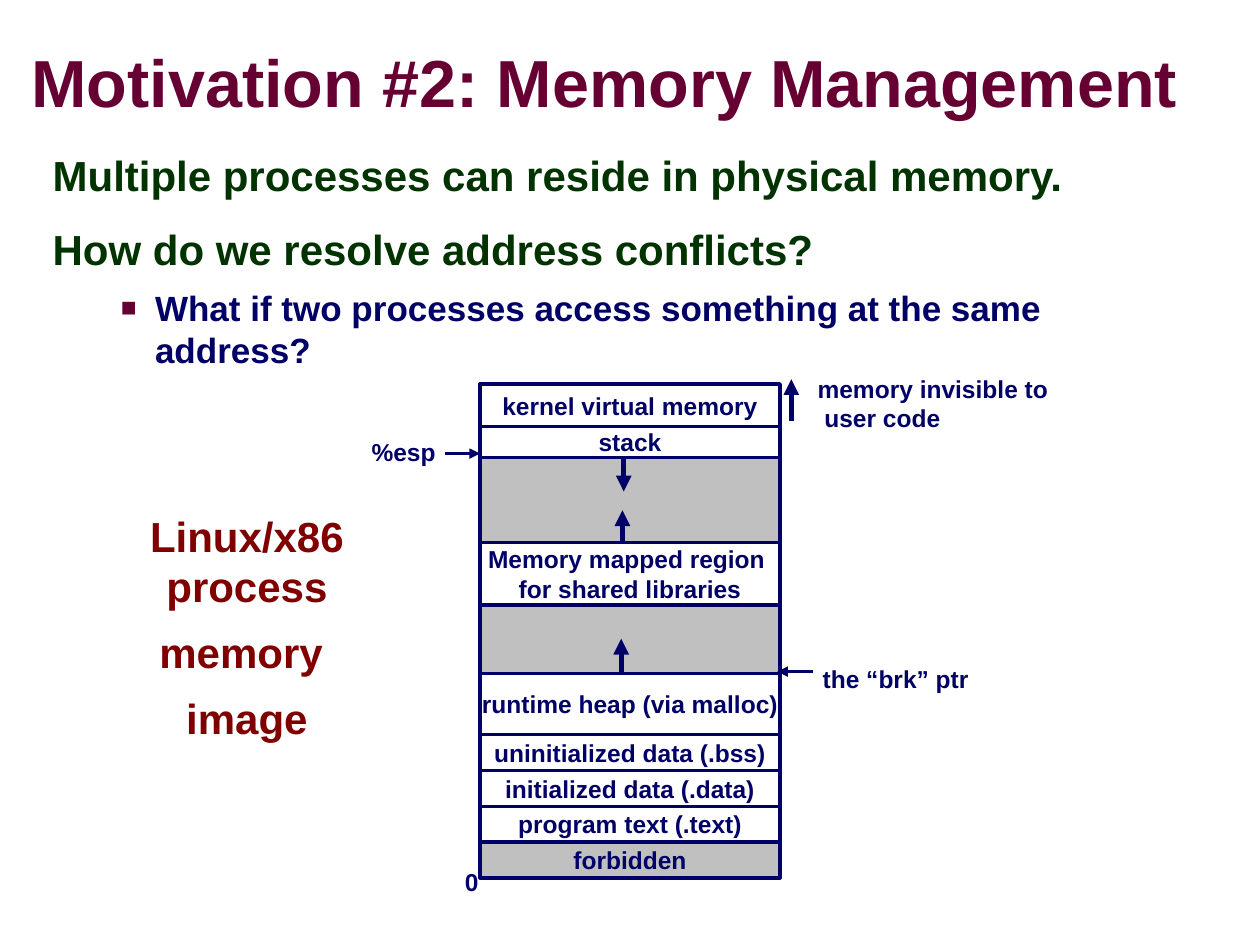
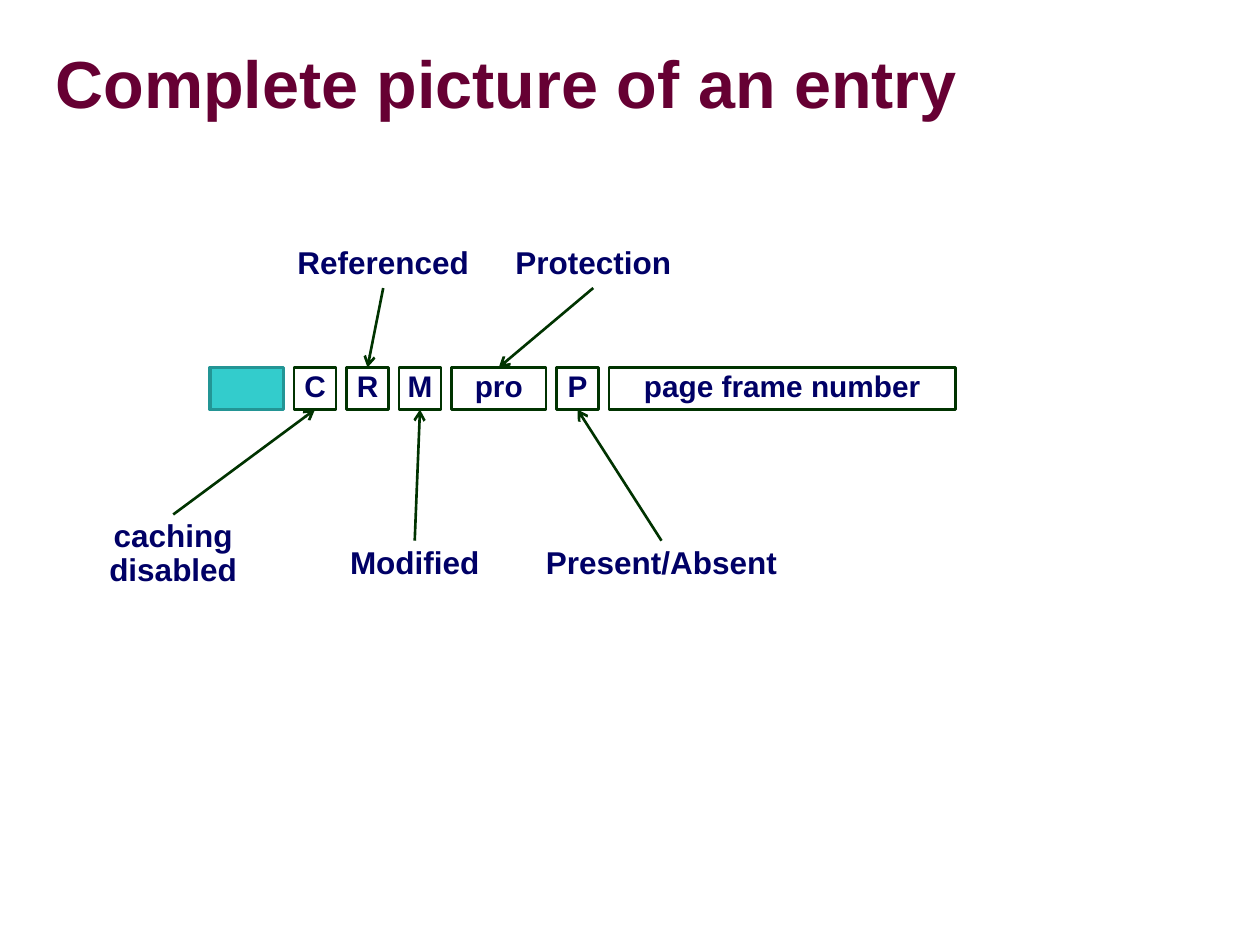
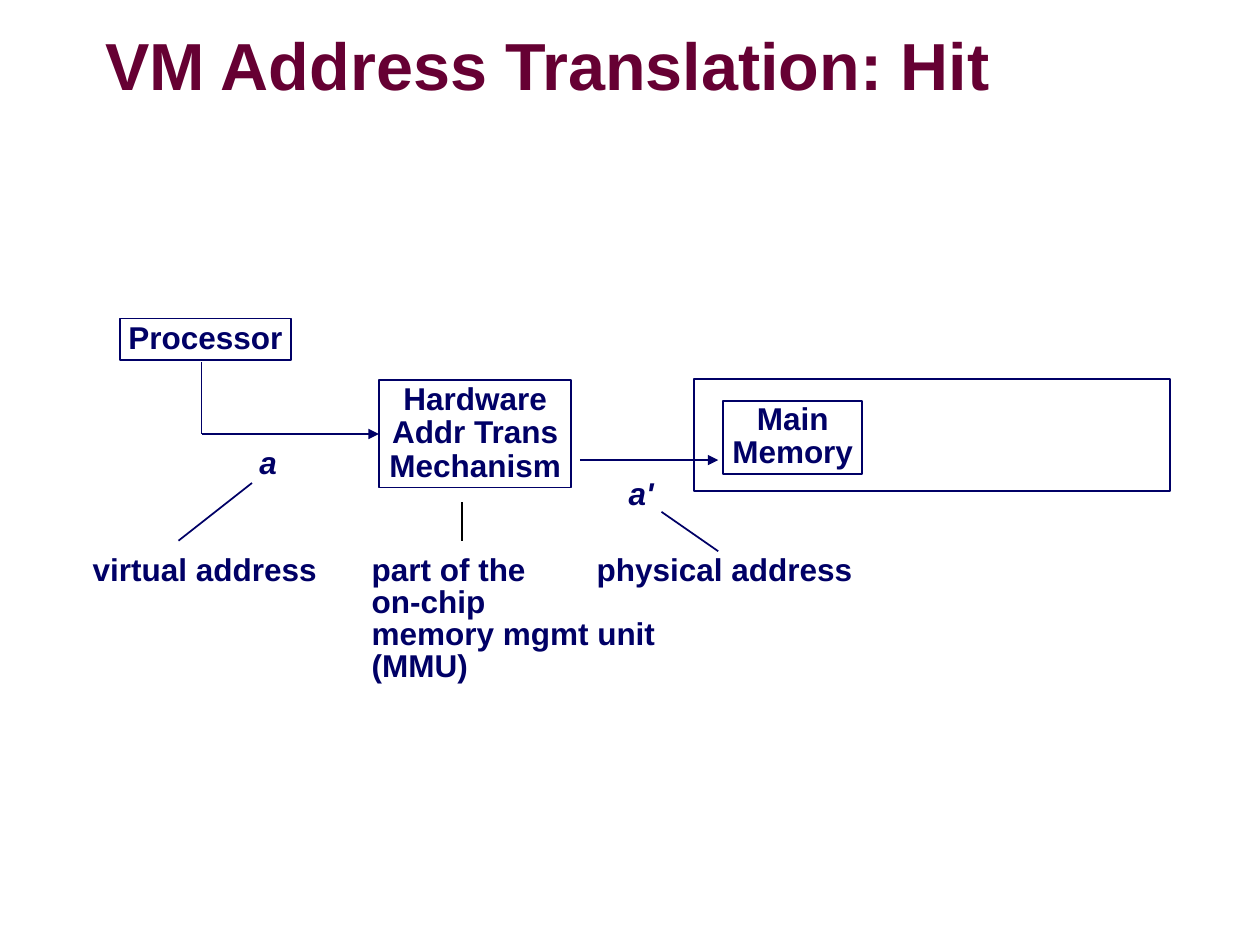
import pptx
import pptx.dml.color
import pptx.enum.shapes
import pptx.enum.text
import pptx.oxml
import pptx.oxml.ns
import pptx.util
from lxml import etree

Pt = pptx.util.Pt
qn = pptx.oxml.ns.qn
ALIGN = pptx.enum.text.PP_ALIGN
ANCHOR = pptx.enum.text.MSO_ANCHOR
AUTO_SIZE = pptx.enum.text.MSO_AUTO_SIZE

FONT = "Arial"
WINE, GREEN, NAVY, RED = "660033", "003300", "000066", "800000"
WHITE, GREY, TEAL, DARK_TEAL, BLACK = "FFFFFF", "C0C0C0", "33CCCC", "239595", "000000"
TOP, LEFT, BOTTOM = 0, 1, 2  # connection sites of a rectangle


def rgb(value):
    return pptx.dml.color.RGBColor.from_string(value)


def set_margins(tf, across, down):
    tf.margin_left = tf.margin_right = Pt(across)
    tf.margin_top = tf.margin_bottom = Pt(down)


def style_paragraph(p, size, color, align=ALIGN.LEFT, spacing=1.0, italic=False):
    p.alignment = align
    p.line_spacing = spacing
    for r in p.runs:
        r.font.name = FONT
        r.font.size = Pt(size)
        r.font.bold = True
        r.font.italic = italic
        r.font.color.rgb = rgb(color)


def write(tf, text, size, color=NAVY, before=0, **style):
    """Set the text, one paragraph a line, with space before all but the first."""
    tf.text = text
    for i, p in enumerate(tf.paragraphs):
        style_paragraph(p, size, color, **style)
        p.space_before = Pt(before if i else 0)


def add_title_slide(prs, title, left, top, width, height):
    slide = prs.slides.add_slide(prs.slide_layouts[5])
    sp = slide.shapes.title
    sp.left, sp.top, sp.width, sp.height = map(Pt, (left, top, width, height))
    tf = sp.text_frame
    set_margins(tf, 0, 0)
    tf.word_wrap = True
    tf.auto_size = AUTO_SIZE.NONE
    tf.vertical_anchor = ANCHOR.MIDDLE
    write(tf, title, 38, WINE, spacing=0.87)
    add_text_shadow(tf.paragraphs[0].runs[0])
    return slide


def add_text_shadow(r):
    ns = pptx.oxml.ns.nsdecls("a")
    effects = pptx.oxml.parse_xml(
        f'<a:effectLst {ns}><a:outerShdw blurRad="38100" dist="38100" dir="2700000">'
        '<a:srgbClr val="C0C0C0"/></a:outerShdw></a:effectLst>')
    r.font.fill  # the effect list follows the fill
    r._r.rPr.find(qn("a:solidFill")).addnext(effects)


def add_label(slide, text, left, top, width, height, size=14, color=NAVY,
              margins=(7.2, 3.6), wrap=False, **style):
    sp = slide.shapes.add_textbox(Pt(left), Pt(top), Pt(width), Pt(height))
    tf = sp.text_frame
    set_margins(tf, *margins)
    tf.word_wrap = wrap
    tf.auto_size = AUTO_SIZE.SHAPE_TO_FIT_TEXT
    write(tf, text, size, color, **style)
    return sp


def add_box(slide, text, left, top, width, height, fill=None, line=NAVY,
            weight=1.0, size=18, margins=(5, 2.2), spacing=1.0):
    sp = slide.shapes.add_shape(pptx.enum.shapes.MSO_SHAPE.RECTANGLE,
                                Pt(left), Pt(top), Pt(width), Pt(height))
    sp.shadow.inherit = False
    if fill:
        sp.fill.solid()
        sp.fill.fore_color.rgb = rgb(fill)
    else:
        sp.fill.background()
    sp.line.color.rgb = rgb(line)
    sp.line.width = Pt(weight)
    if text:
        tf = sp.text_frame
        set_margins(tf, *margins)
        tf.word_wrap = False
        tf.vertical_anchor = ANCHOR.MIDDLE
        write(tf, text, size, align=ALIGN.CENTER, spacing=spacing)
    return sp


def add_line(slide, x1, y1, x2, y2, color=NAVY, weight=1.0, head=None):
    """Draw a straight line; head names the arrowhead at its end."""
    cxn = slide.shapes.add_connector(pptx.enum.shapes.MSO_CONNECTOR.STRAIGHT,
                                     Pt(x1), Pt(y1), Pt(x2), Pt(y2))
    cxn.line.color.rgb = rgb(color)
    cxn.line.width = Pt(weight)
    sppr = cxn._element.spPr
    if head:
        etree.SubElement(sppr.find(qn("a:ln")), qn("a:tailEnd"), type=head)
    etree.SubElement(sppr, qn("a:effectLst"))
    return cxn


def add_bullet(p, char, color, percent, margin, hanging):
    ppr = p._p.get_or_add_pPr()
    ppr.set("marL", str(Pt(margin)))
    ppr.set("indent", str(-Pt(hanging)))
    bu_color = etree.SubElement(ppr, qn("a:buClr"))
    etree.SubElement(bu_color, qn("a:srgbClr"), val=color)
    etree.SubElement(ppr, qn("a:buSzPct"), val=str(percent * 1000))
    etree.SubElement(ppr, qn("a:buFont"), typeface=FONT)
    etree.SubElement(ppr, qn("a:buChar"), char=char)


def add_memory_slide(prs):
    slide = add_title_slide(prs, "Motivation #2: Memory Management", 18, 26.6, 678, 45.4)
    body = add_label(
        slide,
        "Multiple processes can reside in physical memory.\n"
        "How do we resolve address conflicts?\n"
        "What if two processes access something at the same address?",
        23, 84.2, 654.5, 130, size=24, color=GREEN, wrap=True, before=15, spacing=0.95)
    p = body.text_frame.paragraphs[2]
    add_bullet(p, "■", WINE, 75, 58.5, 19.5)
    style_paragraph(p, 20, NAVY)
    p.space_before = Pt(6.2)

    regions = [  # text, fill, height
        ("kernel virtual memory", WHITE, 24.4),
        ("stack", WHITE, 17.6),
        ("", GREY, 48.6),
        ("Memory mapped region \nfor shared libraries", WHITE, 35.8),
        ("", GREY, 39),
        ("runtime heap (via malloc)", WHITE, 35),
        ("uninitialized data (.bss)", WHITE, 20.6),
        ("initialized data (.data)", WHITE, 20.4),
        ("program text (.text)", WHITE, 20.2),
        ("forbidden", GREY, 20.6),
    ]
    top = 219.4
    for text, fill, height in regions:
        add_box(slide, text, 274.3, top, 171.4, height, fill, weight=2, size=14,
                margins=(7.2, 3.6))
        top += height

    for x, y1, y2 in [(355, 384.5, 365), (355.7, 310.3, 291.6),
                      (356.4, 261.4, 280.8), (452.2, 240.5, 216.7)]:
        add_line(slide, x, y1, x, y2, weight=3, head="triangle")
    for x1, x2, y in [(254.2, 274.3, 259.2), (464.4, 444.2, 383.8)]:
        add_line(slide, x1, y, x2, y, weight=2, head="triangle")

    add_label(slide, "0", 258.5, 491.8, 22.3, 24.5)
    add_label(slide, "%esp", 205.2, 246.3, 51, 24.5)
    add_label(slide, "memory invisible to\n user code", 460.1, 210.2, 146.2, 41)
    add_label(slide, "the “brk” ptr", 463, 375.8, 98, 24.5)
    add_label(slide, "Linux/x86 process\nmemory \nimage", 66.2, 288, 149.8, 140.4,
              size=24, color=RED, wrap=True, before=9, align=ALIGN.CENTER)


def add_entry_slide(prs):
    slide = add_title_slide(prs, "Complete picture of an entry", 31.7, 19.4, 676, 61.2)
    left, top, height, gap = 120, 210, 24, 6
    add_box(slide, "", left, top, 42, height, TEAL, DARK_TEAL, 2)
    left += 42 + gap
    fields = {}
    for text, width in [("C", 24), ("R", 24), ("M", 24), ("pro", 54), ("P", 24),
                        ("page frame number", 198)]:
        fields[text] = add_box(slide, text, left, top, width, height, line=GREEN,
                               weight=1.5, size=17, margins=(3.6, 3.6), spacing=0.8)
        left += width + gap

    meanings = [  # text, left, top, width, height, field
        ("caching disabled", 48, 294, 102, 46, "C"),
        ("Referenced", 156, 138, 126, 26.6, "R"),
        ("Modified", 174, 309, 126, 26.6, "M"),
        ("Protection", 276, 138, 126, 26.6, "pro"),
        ("Present/Absent", 300, 309, 156, 26.6, "P"),
    ]
    for text, x, y, width, label_height, field in meanings:
        label = add_label(slide, text, x, y, width, label_height, size=18, wrap=True,
                          align=ALIGN.CENTER, spacing=0.9)
        start, end = (BOTTOM, TOP) if y < top else (TOP, BOTTOM)
        cxn = add_line(slide, 0, 0, 0, 0, GREEN, 1.5, "arrow")
        cxn.begin_connect(label, start)
        cxn.end_connect(fields[field], end)


def add_translation_slide(prs):
    slide = add_title_slide(prs, "VM Address Translation: Hit", 60, 18, 552, 44)
    add_box(slide, "Processor", 68.4, 182, 98, 23.8, spacing=0.92)
    mechanism = add_box(slide, "Hardware\nAddr Trans\nMechanism", 216.5, 217.3, 110, 61.4,
                        spacing=0.88)
    add_box(slide, "Main\nMemory", 413.3, 229, 79.4, 41.8, spacing=0.88)
    add_box(slide, "", 396.5, 216.5, 272.2, 64.2)

    add_line(slide, 115.2, 207, 115.2, 248)
    cxn = add_line(slide, 115.2, 248, 216.5, 248, head="triangle")
    cxn.end_connect(mechanism, LEFT)
    add_line(slide, 331.4, 262.9, 410.4, 262.9, head="triangle")
    add_line(slide, 410.4, 315, 378, 292.5)
    add_line(slide, 102, 309, 144, 276)
    add_line(slide, 264, 309, 264, 287, BLACK, 0.75)

    for text, left, top, width, height, italic in [
        ("a", 143.3, 254.2, 20.2, 22.3, True),
        ("a'", 354.2, 272.2, 24.5, 22.3, True),
        ("physical address", 336, 315.4, 156.2, 22.3, False),
        ("virtual address", 48, 315.4, 138.2, 22.3, False),
        ("part of the\non-chip\nmemory mgmt unit (MMU)", 207.4, 315.4, 231.8, 59, False),
    ]:
        add_label(slide, text, left, top, width, height, size=18, margins=(5, 2.2),
                  spacing=0.85, italic=italic)


def main():
    prs = pptx.Presentation()
    prs.slide_width, prs.slide_height = Pt(720), Pt(540)
    add_memory_slide(prs)
    add_entry_slide(prs)
    add_translation_slide(prs)
    prs.save("out.pptx")


if __name__ == "__main__":
    main()
